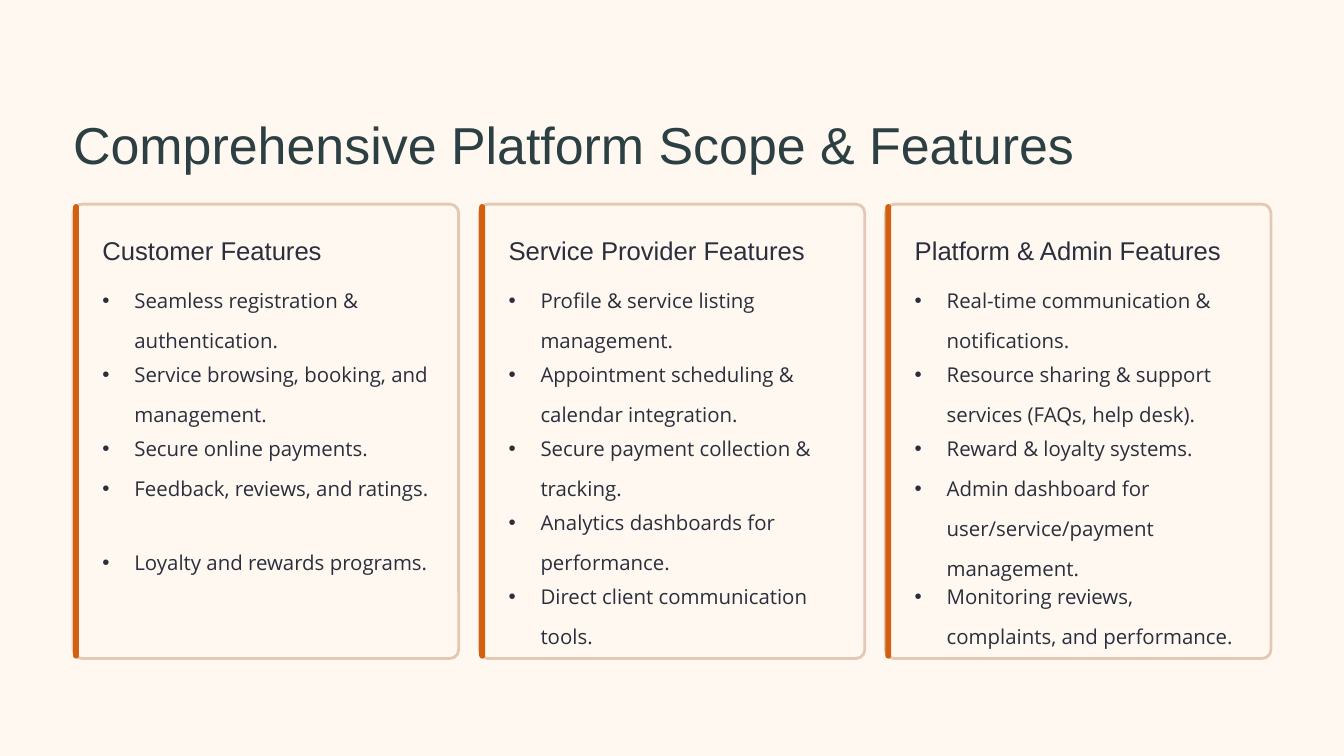
import pptx
import pptx.util
import pptx.dml.color
import pptx.enum.shapes
import pptx.enum.text
import pptx.oxml.ns
from lxml import etree

MARGIN, CARD_TOP = 0.87, 2.43
CARD_WIDTH, CARD_HEIGHT, CARD_PITCH = 4.59, 5.41, 4.835
PADDING, ITEM_WIDTH = 0.35, 3.96
HEADING_TOP, LIST_TOP = 2.71, 3.25
LINE_HEIGHT, ITEM_GAP, INDENT = 0.4, 0.08, 0.38
CREAM, SAND, ORANGE, INK, TEAL = "FFF8F0", "E2C8B5", "D2600F", "2B2E3C", "2C3F42"

CARDS = [
    ("Customer Features", [
        ("Seamless registration & authentication.", 2),
        ("Service browsing, booking, and management.", 2),
        ("Secure online payments.", 1),
        ("Feedback, reviews, and ratings.", 2),
        ("Loyalty and rewards programs.", 2),
    ]),
    ("Service Provider Features", [
        ("Profile & service listing management.", 2),
        ("Appointment scheduling & calendar integration.", 2),
        ("Secure payment collection & tracking.", 2),
        ("Analytics dashboards for performance.", 2),
        ("Direct client communication tools.", 2),
    ]),
    ("Platform & Admin Features", [
        ("Real-time communication & notifications.", 2),
        ("Resource sharing & support services (FAQs, help desk).", 2),
        ("Reward & loyalty systems.", 1),
        ("Admin dashboard for user/service/payment management.", 3),
        ("Monitoring reviews, complaints, and performance.", 2),
    ]),
]


def paint(target, color):
    if hasattr(target, "solid"):
        target.solid()
        target = target.fore_color
    target.rgb = pptx.dml.color.RGBColor.from_string(color)


def place(shape, left, top, width, height):
    shape.left, shape.top, shape.width, shape.height = (
        pptx.util.Inches(length) for length in (left, top, width, height))


def add_bullet(para):
    properties = para._p.get_or_add_pPr()
    indent = pptx.util.Inches(INDENT)
    properties.set("marL", str(indent))
    properties.set("indent", str(-indent))
    name = pptx.oxml.ns.qn
    bullet_color = etree.SubElement(properties, name("a:buClr"))
    etree.SubElement(bullet_color, name("a:srgbClr"), val=INK)
    etree.SubElement(properties, name("a:buFont"), typeface="Arial")
    etree.SubElement(properties, name("a:buChar"), char="•")


def write(box, text, size, font="Arial", color=INK, spacing=1.25, bullet=False):
    frame = box.text_frame
    frame.word_wrap = True
    frame.auto_size = pptx.enum.text.MSO_AUTO_SIZE.NONE
    frame.vertical_anchor = pptx.enum.text.MSO_ANCHOR.TOP
    frame.margin_left = frame.margin_top = frame.margin_right = frame.margin_bottom = 0
    para = frame.paragraphs[0]
    para.alignment = pptx.enum.text.PP_ALIGN.LEFT
    para.line_spacing = spacing
    para.space_before = pptx.util.Pt(0)
    if bullet:
        add_bullet(para)
    span = para.add_run()
    span.text = text
    span.font.size = pptx.util.Pt(size)
    span.font.name = font
    paint(span.font.color, color)


def add_text(page, text, left, top, width, height, **style):
    box = page.shapes.add_textbox(0, 0, 0, 0)
    place(box, left, top, width, height)
    write(box, text, **style)


def add_panel(page, left, width, fill, radius, line=None):
    panel = page.shapes.add_shape(
        pptx.enum.shapes.MSO_SHAPE.ROUNDED_RECTANGLE, 0, 0, 0, 0)
    place(panel, left, CARD_TOP, width, CARD_HEIGHT)
    panel.adjustments[0] = radius
    panel.shadow.inherit = False
    paint(panel.fill, fill)
    if line:
        paint(panel.line.color, line)
        panel.line.width = pptx.util.Pt(2.4)
    else:
        panel.line.fill.background()


def add_card(page, left, heading, items):
    add_panel(page, left, CARD_WIDTH, CREAM, 0.023, line=SAND)
    add_panel(page, left, 0.07, ORANGE, 0.5)
    text_left = left + PADDING
    add_text(page, heading, text_left, HEADING_TOP, ITEM_WIDTH, 0.39, size=22)
    top = LIST_TOP
    for text, lines in items:
        height = lines * LINE_HEIGHT
        add_text(page, text, text_left, top, ITEM_WIDTH, height,
                 size=17.5, font="Open Sans", spacing=1.63, bullet=True)
        top += height + ITEM_GAP


def main():
    deck = pptx.Presentation()
    deck.slide_width = pptx.util.Inches(16)
    deck.slide_height = pptx.util.Inches(9)
    page = deck.slides.add_slide(deck.slide_layouts[5])
    paint(page.background.fill, CREAM)
    title = page.shapes.title
    place(title, MARGIN, 1.16, 13.46, 0.78)
    write(title, "Comprehensive Platform Scope & Features", size=44.5, color=TEAL)
    for column, (heading, items) in enumerate(CARDS):
        add_card(page, MARGIN + column * CARD_PITCH, heading, items)
    deck.save("out.pptx")


if __name__ == "__main__":
    main()
